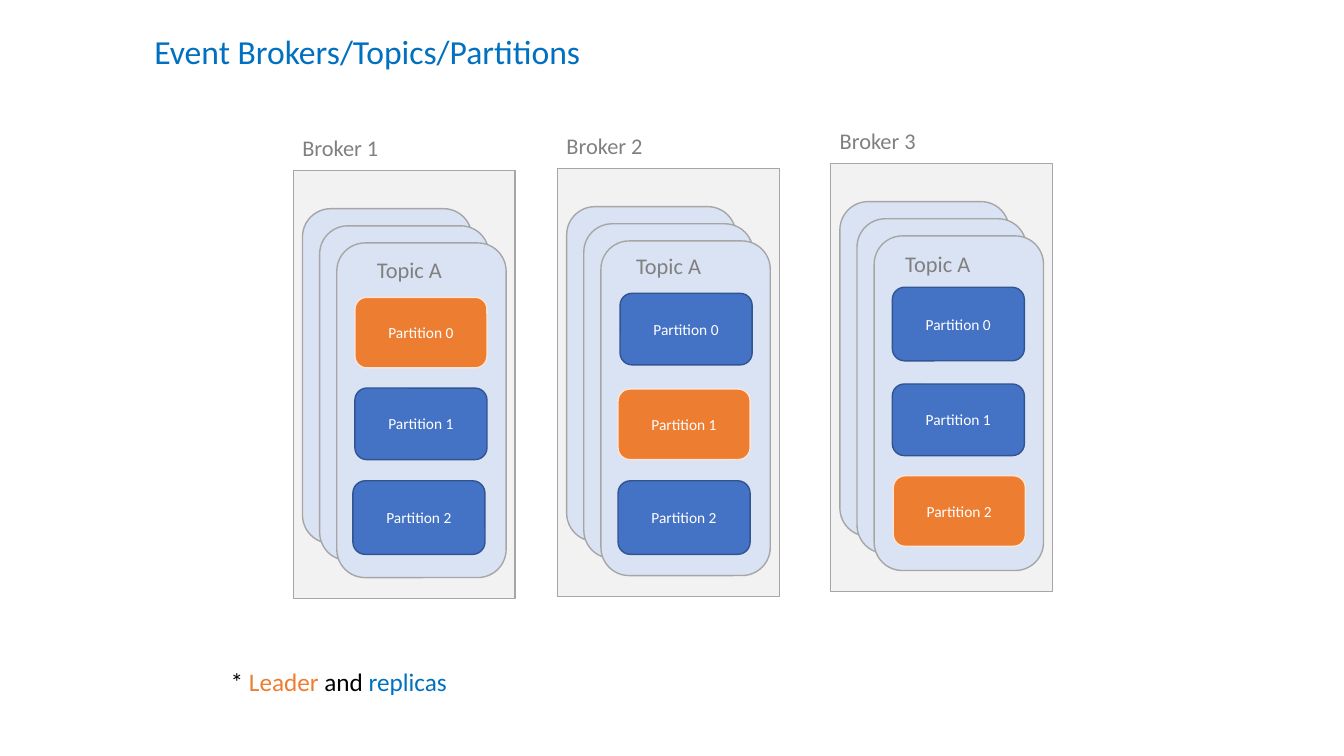
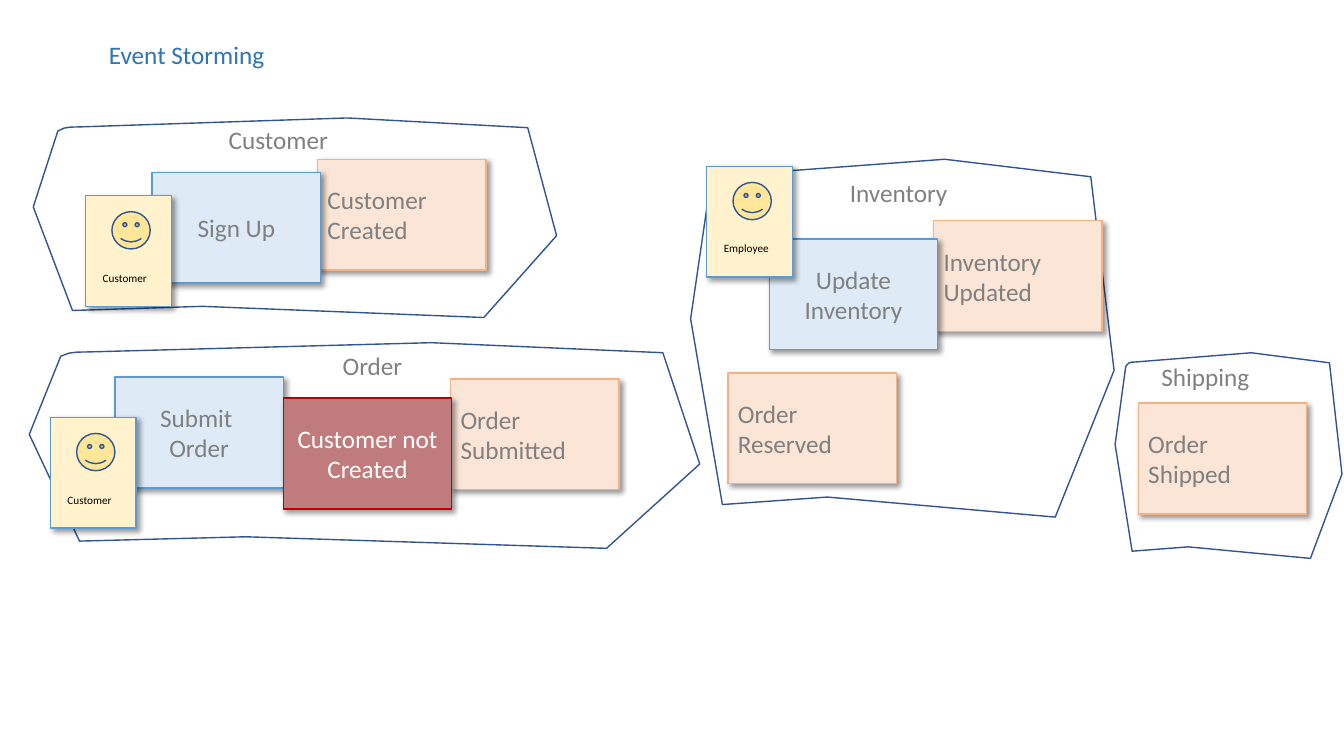
from lxml import etree
from pptx import Presentation
from pptx import util as u
from pptx.dml.color import RGBColor
from pptx.enum import shapes as sh, text as tx
from pptx.oxml import ns

PX = 9144
HUES = {
    "title": "0070C0", "head": "2E75B6", "gray": "808080", "black": "000000",
    "white": "FFFFFF", "pale": "F2F2F2", "edge": "A6A6A6", "topic": "DAE3F3",
    "lead": "ED7D31", "rim": "FBE5D6", "blue": "4472C4", "navy": "325491",
    "event": "FBE5D6", "peach": "F4B183", "act": "DEEBF7", "sky": "5B9BD5",
    "rose": "C07C7D", "red": "C00000", "cream": "FFF2CC", "face": "FFE699",
}
RGB = {name: RGBColor.from_string(code) for name, code in HUES.items()}
KIND = sh.MSO_SHAPE
MID = tx.PP_ALIGN.CENTER
LEFT = tx.PP_ALIGN.LEFT


def write(box, text, size, hues, align=LEFT, anchor=tx.MSO_ANCHOR.TOP):
    frame = box.text_frame
    form = {"word_wrap": True, "auto_size": tx.MSO_AUTO_SIZE.NONE, "vertical_anchor": anchor}
    for key, val in form.items():
        setattr(frame, key, val)
    for row, line in enumerate(text.split("\n")):
        para = frame.add_paragraph() if row else frame.paragraphs[0]
        para.alignment = align
        for bit, hue in zip(line.split("|"), hues):
            run = para.add_run()
            run.text = bit
            for key, val in {"name": "Calibri", "size": u.Pt(size)}.items():
                setattr(run.font, key, val)
            run.font.color.rgb = RGB[hue]


def draw(pool, kind, at, fill, line, shade=False):
    item = pool.add_shape(kind, *[n * PX for n in at])
    item.fill.solid()
    item.fill.fore_color.rgb = RGB[fill]
    item.line.color.rgb = RGB[line]
    item.line.width = u.Pt(1)
    item.shadow.inherit = False
    if shade:
        root = item._element.spPr.find(ns.qn("a:effectLst"))
        cast = etree.SubElement(root, ns.qn("a:outerShdw"), blurRad="50800",
                                dist="38100", dir="2700000", algn="tl", rotWithShape="0")
        tint = etree.SubElement(cast, ns.qn("a:srgbClr"), val=HUES["black"])
        etree.SubElement(tint, ns.qn("a:alpha"), val="40000")
    return item


deck = Presentation()
deck.slide_width = 1333 * PX
deck.slide_height = 750 * PX

pools = []
for text, at, size, hue in [
    ("Event Brokers/Topics/Partitions", (143, 26, 500, 50), 24, "title"),
    ("Event Storming", (98, 34, 231, 40), 18, "head"),
]:
    slide = deck.slides.add_slide(deck.slide_layouts[5])
    title = slide.shapes.title
    for key, val in zip(("left", "top", "width", "height"), at):
        setattr(title, key, val * PX)
    write(title, text, size, [hue])
    pools.append(slide.shapes)
queue, storm = pools

brokers = [
    (291, 169, (364, 249), [(352, 295, 70), (352, 385, 71), (350, 477, 73)]),
    (553, 167, (621, 245), [(615, 291, 71), (613, 386, 70), (613, 477, 73)]),
    (824, 162, (888, 243), [(885, 285, 73), (885, 381, 71), (886, 472, 70)]),
]
for num, (x, y, spot, parts) in enumerate(brokers):
    draw(queue, KIND.RECTANGLE, (x, y, 220, 425), "pale", "edge")
    for step in range(3):
        at = (x + 9 + 17 * step, y + 38 + 17 * step, 168, 332)
        draw(queue, KIND.ROUNDED_RECTANGLE, at, "topic", "edge")
    for text, at in [(f"Broker {num + 1}", (x - 1, y - 41, 128, 37)),
                     ("Topic A", (*spot, 115, 37))]:
        write(queue.add_textbox(*[n * PX for n in at]), text, 16, ["gray"])
    for part, (left, top, tall) in enumerate(parts):
        fill, line = ("lead", "rim") if part == num else ("blue", "navy")
        cell = draw(queue, KIND.ROUNDED_RECTANGLE, (left, top, 131, tall), fill, line)
        write(cell, f"Partition {part}", 11, ["white"], MID, tx.MSO_ANCHOR.MIDDLE)

key = queue.add_textbox(219 * PX, 656 * PX, 237 * PX, 40 * PX)
write(key, "* |Leader| and |replicas", 18, ["black", "lead", "black", "title"])

rough = [(47, 66), (59, 51), (71, 46), (88, 45), (600, 0), (945, 49),
         (1000, 590), (861, 1000), (323, 944), (75, 965), (0, 446)]
zones = [
    ("Customer", (33, 117, 519, 198), (217, 118, 141)),
    ("Order", (29, 340, 665, 204), (330, 343, 96)),
    ("Inventory", (685, 158, 420, 355), (833, 171, 156)),
    ("Shipping", (1106, 350, 225, 204), (1142, 354, 141)),
]
for name, (x, y, wide, tall), (left, top, span) in zones:
    dots = [((x + wide * a / 1000) * PX, (y + tall * b / 1000) * PX) for a, b in rough]
    pen = storm.build_freeform(*dots[0])
    pen.add_line_segments(dots[1:], close=True)
    zone = pen.convert_to_shape()
    zone.fill.background()
    zone.line.color.rgb = RGB["navy"]
    zone.line.width = u.Pt(1)
    zone.shadow.inherit = False
    label = storm.add_textbox(left * PX, top * PX, span * PX, 40 * PX)
    write(label, name, 18, ["gray"])

looks = {
    "event": ("event", "peach", "gray", LEFT),
    "act": ("act", "sky", "gray", MID),
    "fail": ("rose", "red", "white", MID),
}
cards = [
    ("event", 447, 376, "Order\nSubmitted"),
    ("event", 315, 158, "Customer\nCreated"),
    ("event", 722, 370, "Order\nReserved"),
    ("event", 1129, 400, "Order\nShipped"),
    ("act", 151, 171, "Sign Up"),
    ("act", 114, 374, "Submit \nOrder"),
    ("fail", 281, 395, "Customer not Created"),
    ("event", 926, 219, "Inventory\nUpdated"),
    ("act", 763, 237, "Update\nInventory"),
]
for look, x, y, text in cards:
    fill, line, hue, align = looks[look]
    card = draw(storm, KIND.RECTANGLE, (x, y, 167, 110), fill, line, True)
    write(card, text, 18, [hue], align, tx.MSO_ANCHOR.MIDDLE)

for role, x, y in [("Customer", 85, 194), ("Customer", 50, 414), ("Employee", 701, 165)]:
    group = storm.add_group_shape().shapes
    draw(group, KIND.RECTANGLE, (x, y, 85, 110), "cream", "sky", True)
    draw(group, KIND.SMILEY_FACE, (x + 26, y + 16, 38, 37), "face", "navy")
    label = group.add_textbox((x + 7) * PX, (y + 70) * PX, 75 * PX, 24 * PX)
    write(label, role, 8, ["black"])

deck.save("out.pptx")
